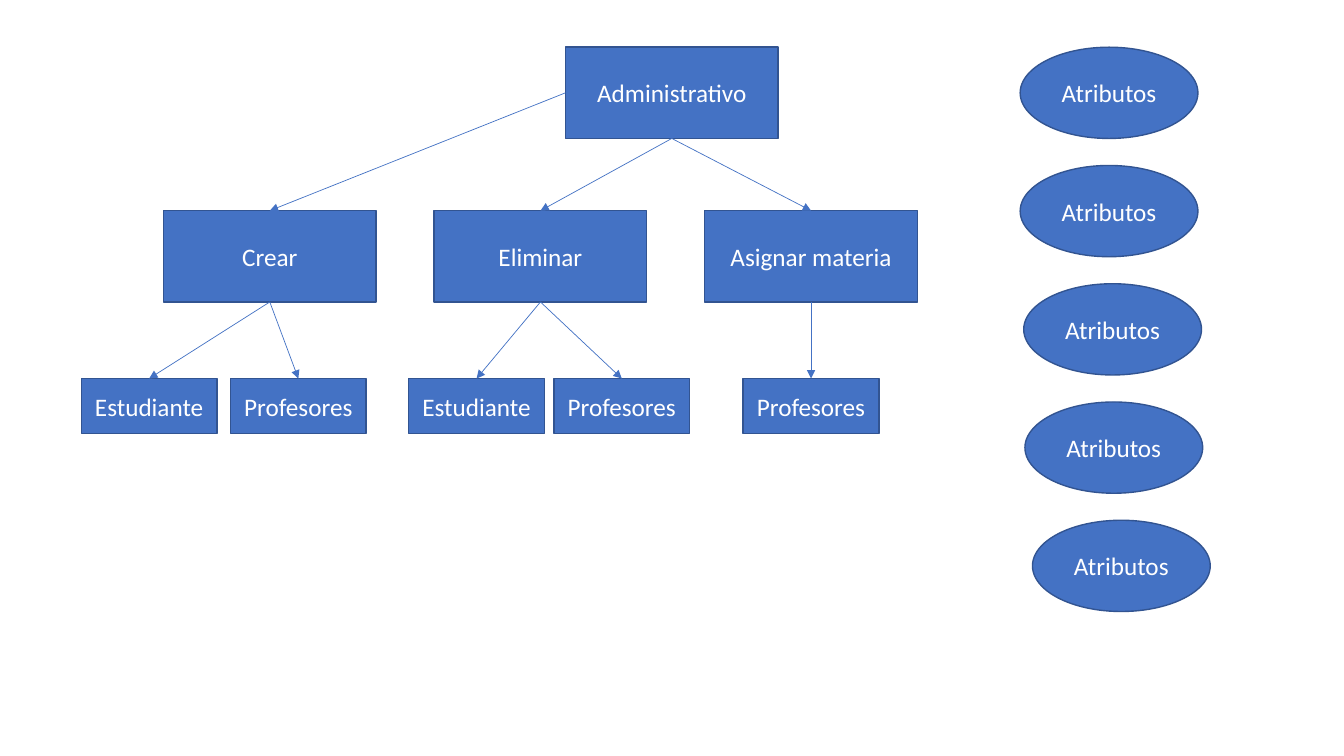
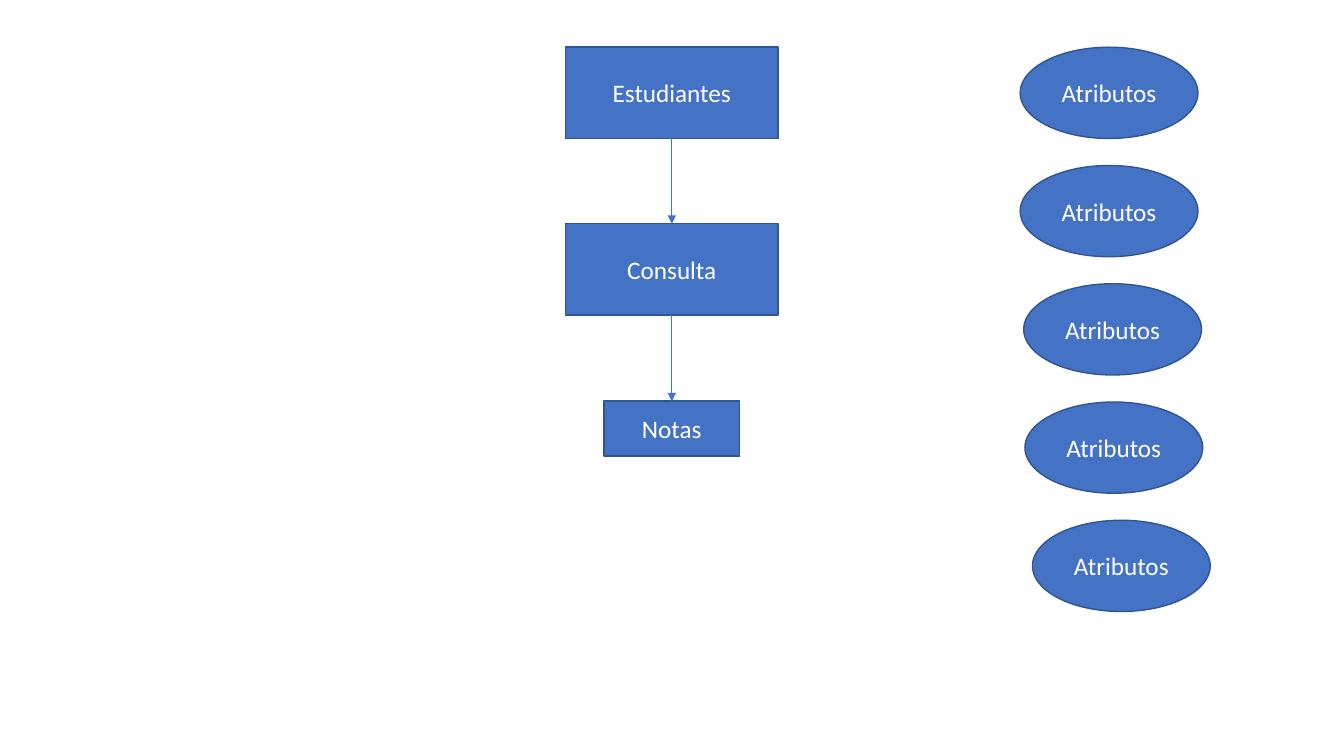
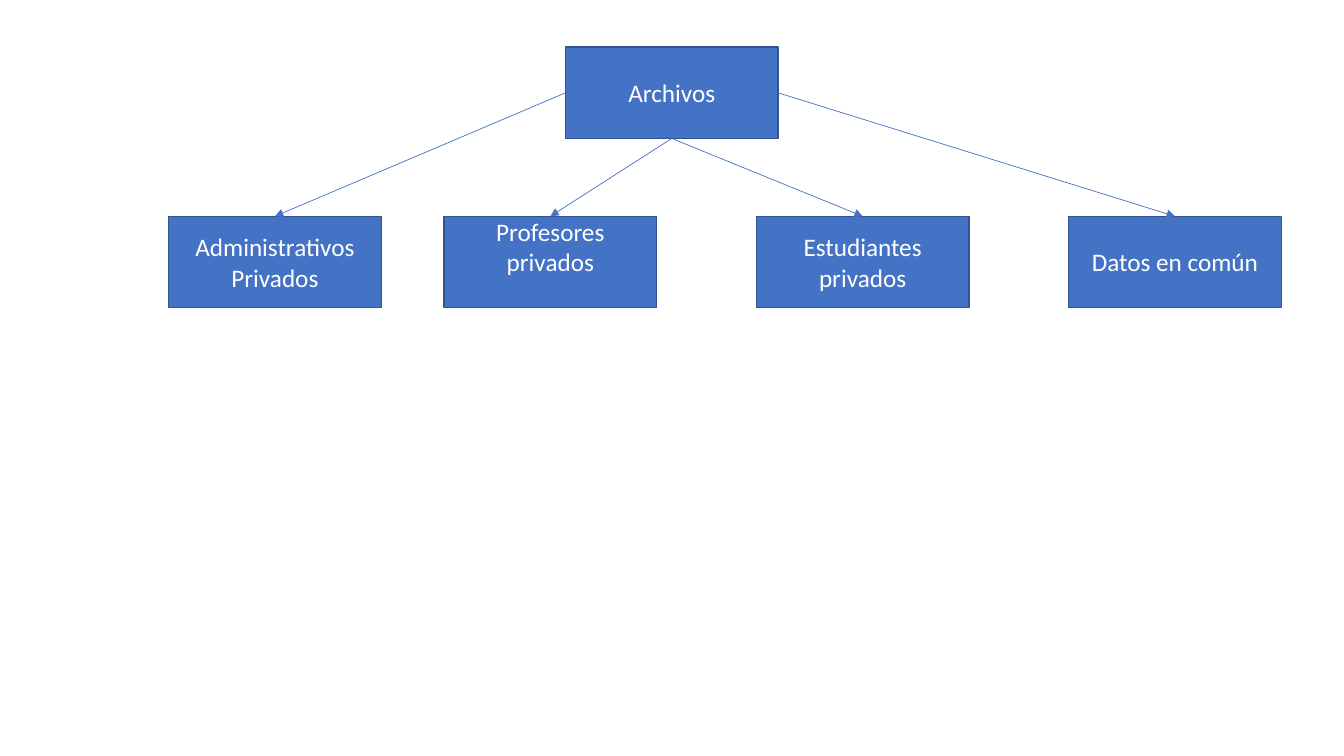
import pptx
import pptx.dml.color
import pptx.enum.shapes
import pptx.enum.text
import pptx.oxml
import pptx.oxml.ns
import pptx.util

Cm, Pt = pptx.util.Cm, pptx.util.Pt
SHAPE = pptx.enum.shapes.MSO_SHAPE
ANCHOR = pptx.enum.text.MSO_ANCHOR

BLUE = pptx.dml.color.RGBColor(0x44, 0x72, 0xC4)
DARK_BLUE = pptx.dml.color.RGBColor(0x32, 0x54, 0x91)
WHITE = pptx.dml.color.RGBColor(0xFF, 0xFF, 0xFF)
FONT = "Calibri"

TOP, LEFT, BOTTOM, RIGHT = range(4)

# Box sizes by tree level, in centimetres
LEVEL_SIZES = [(5.36, 2.3), (5.36, 2.3), (3.42, 1.38)]

# Each node: lines of text, horizontal centre, parent side it hangs from, children
ADMIN_TREE = (["Administrativo"], 16.93, None, [
    (["Crear"], 6.8, LEFT, [
        (["Estudiante"], 3.76, BOTTOM, []),
        (["Profesores"], 7.52, BOTTOM, []),
    ]),
    (["Eliminar"], 13.62, BOTTOM, [
        (["Estudiante"], 12.01, BOTTOM, []),
        (["Profesores"], 15.67, BOTTOM, []),
    ]),
    (["Asignar materia"], 20.44, BOTTOM, [
        (["Profesores"], 20.44, BOTTOM, []),
    ]),
])
STUDENT_TREE = (["Estudiantes"], 16.93, None, [
    (["Consulta"], 16.93, BOTTOM, [
        (["Notas"], 16.93, BOTTOM, []),
    ]),
])
FILE_TREE = (["Archivos"], 16.93, None, [
    (["Administrativos", "Privados"], 6.93, LEFT, []),
    (["Profesores", "privados"], 13.87, BOTTOM, []),
    (["Estudiantes", "privados"], 21.74, BOTTOM, []),
    (["Datos en común"], 29.61, RIGHT, []),
])
RAISED_TEXT = ["Profesores", "privados"]

ATTRIBUTE_LEFTS = [25.71, 25.71, 25.8, 25.83, 26.02]
ATTRIBUTE_SIZE = (4.48, 2.3)
FIRST_TOP = 1.19
ATTRIBUTE_STEP = 2.98

# Tree, top of each level, whether the attribute column shows
PAGES = [
    (ADMIN_TREE, [FIRST_TOP, 5.31, 9.54], True),
    (STUDENT_TREE, [FIRST_TOP, 5.64, 10.11], True),
    (FILE_TREE, [FIRST_TOP, 5.45], False),
]


def write_text(frame, lines, size=18, color=WHITE, anchor=ANCHOR.MIDDLE):
    frame.word_wrap = True
    frame.vertical_anchor = anchor
    for index, line in enumerate(lines):
        para = frame.paragraphs[0] if index == 0 else frame.add_paragraph()
        para.alignment = pptx.enum.text.PP_ALIGN.CENTER
        span = para.add_run()
        span.text = line
        span.font.name = FONT
        span.font.size = Pt(size)
        span.font.color.rgb = color


def add_box(page, kind, left, top, size, lines, **text_format):
    box = page.shapes.add_shape(kind, Cm(left), Cm(top), *map(Cm, size))
    box.shadow.inherit = False
    box.fill.solid()
    box.fill.fore_color.rgb = BLUE
    box.line.color.rgb = DARK_BLUE
    box.line.width = Pt(1)
    write_text(box.text_frame, lines, **text_format)
    return box


def add_arrow(page, parent, side, child):
    arrow = page.shapes.add_connector(
        pptx.enum.shapes.MSO_CONNECTOR.STRAIGHT, 0, 0, 0, 0)
    arrow.begin_connect(parent, side)
    arrow.end_connect(child, TOP)
    arrow.line.color.rgb = BLUE
    arrow.line.width = Pt(0.5)
    namespace = pptx.oxml.ns.nsdecls("a")
    arrow.line._get_or_add_ln().append(
        pptx.oxml.parse_xml(f'<a:tailEnd {namespace} type="triangle"/>'))
    arrow._element.spPr.append(
        pptx.oxml.parse_xml(f"<a:effectLst {namespace}/>"))


def add_tree(page, node, tops, level=0):
    """Draw a node and everything below it; return the node's box."""
    lines, center, _, children = node
    size = LEVEL_SIZES[level]
    raised = lines == RAISED_TEXT
    box = add_box(page, SHAPE.RECTANGLE, center - size[0] / 2, tops[level], size,
                  lines, anchor=ANCHOR.TOP if raised else ANCHOR.MIDDLE)
    if raised:
        box.text_frame.margin_top = 0
    for child in children:
        child_box = add_tree(page, child, tops, level + 1)
        add_arrow(page, box, child[2], child_box)
    return box


def add_attributes(page):
    for row, left in enumerate(ATTRIBUTE_LEFTS):
        add_box(page, SHAPE.OVAL, left, FIRST_TOP + row * ATTRIBUTE_STEP,
                ATTRIBUTE_SIZE, ["Atributos"])


def main():
    deck = pptx.Presentation()
    deck.slide_width, deck.slide_height = Cm(33.87), Cm(19.05)
    for tree, tops, has_attributes in PAGES:
        page = deck.slides.add_slide(deck.slide_layouts[6])
        add_tree(page, tree, tops)
        if has_attributes:
            add_attributes(page)
    deck.save("out.pptx")


if __name__ == "__main__":
    main()
